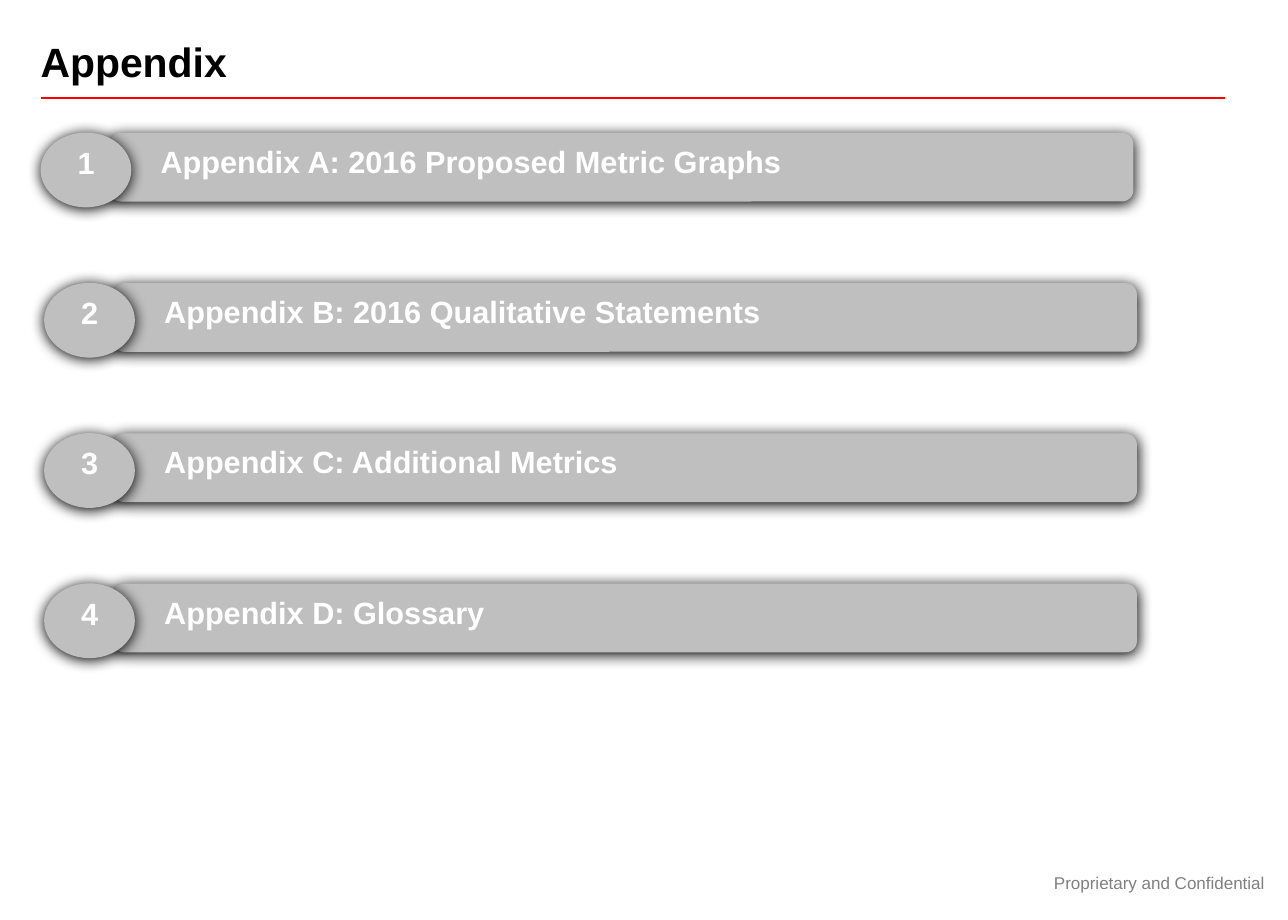
"""Build the appendix overview slide."""
import pptx
import pptx.dml.color
import pptx.enum.shapes
import pptx.enum.text
import pptx.oxml
import pptx.oxml.ns
import pptx.util

Pt = pptx.util.Pt
Kind = pptx.enum.shapes.MSO_SHAPE
Align = pptx.enum.text.PP_ALIGN
Anchor = pptx.enum.text.MSO_ANCHOR

COLORS = {
    "black": "000000",
    "white": "FFFFFF",
    "red": "FF0000",
    "silver": "BFBFBF",
    "gray": "808080",
}
TOPICS = [
    "Appendix A: 2016 Proposed Metric Graphs",
    "Appendix B: 2016 Qualitative Statements",
    "Appendix C: Additional Metrics",
    "Appendix D: Glossary",
]
TOP, PITCH = 77.8, 88.2


def color(name):
    return pptx.dml.color.RGBColor.from_string(COLORS[name])


def write(frame, text, size=18, tint="white", bold=True,
          align=Align.LEFT, anchor=Anchor.TOP, inset=None):
    frame.word_wrap = True
    frame.vertical_anchor = anchor
    if inset is not None:
        frame.margin_left = frame.margin_right = Pt(inset)
        frame.margin_top = frame.margin_bottom = Pt(inset)
    line = frame.paragraphs[0]
    line.alignment = align
    run = line.add_run()
    run.text = text
    run.font.name = "Arial"
    run.font.size = Pt(size)
    run.font.bold = bold
    run.font.color.rgb = color(tint)


class Deck:
    def __init__(self, width, height):
        self.show = pptx.Presentation()
        self.show.slide_width = Pt(width)
        self.show.slide_height = Pt(height)
        self.slide = self.show.slides.add_slide(self.show.slide_layouts[6])
        self.shapes = self.slide.shapes

    def text(self, box, text, **style):
        frame = self.shapes.add_textbox(*map(Pt, box)).text_frame
        write(frame, text, **style)

    def rule(self, left, right, top):
        line = self.shapes.add_connector(
            pptx.enum.shapes.MSO_CONNECTOR.STRAIGHT,
            Pt(left), Pt(top), Pt(right), Pt(top))
        line.line.color.rgb = color("red")
        line.line.width = Pt(1)
        line._element.spPr.append(pptx.oxml.parse_xml(
            f'<a:effectLst {pptx.oxml.ns.nsdecls("a")}/>'))

    def raised(self, kind, box):
        shape = self.shapes.add_shape(kind, *map(Pt, box))
        shape.fill.solid()
        shape.fill.fore_color.rgb = color("silver")
        shape.line.fill.background()
        shape.shadow.inherit = False
        effects = shape._element.spPr.find(pptx.oxml.ns.qn("a:effectLst"))
        effects.append(pptx.oxml.parse_xml(
            f'<a:outerShdw {pptx.oxml.ns.nsdecls("a")} blurRad="{Pt(8.5)}" '
            f'dist="{Pt(1)}" dir="5400000" algn="ctr" rotWithShape="0">'
            f'<a:srgbClr val="{COLORS["black"]}"/></a:outerShdw>'))

    def entry(self, left, top, number, topic):
        self.shapes = self.slide.shapes.add_group_shape().shapes
        self.raised(Kind.ROUNDED_RECTANGLE, (left + 40.3, top + 0.2, 601.2, 40.3))
        self.raised(Kind.OVAL, (left, top, 53.3, 43.9))
        self.text((left + 12, top + 3, 29.5, 28.8), str(number), align=Align.CENTER)
        self.text((left + 63.4, top + 2.4, 597, 36), topic)
        self.shapes = self.slide.shapes


def main():
    deck = Deck(756, 540)
    deck.rule(23.8, 719.3, 57.6)
    deck.text((23.8, 21.6, 732, 36), "Appendix", size=24, tint="black", inset=0)
    for row, topic in enumerate(TOPICS):
        left = 25.9 if row else 23.8
        deck.entry(left, TOP + row * PITCH, row + 1, topic)
    deck.text((604.8, 504, 151.2, 28.8), "Proprietary and Confidential",
              size=10, tint="gray", bold=False,
              align=Align.CENTER, anchor=Anchor.MIDDLE)
    deck.show.save("out.pptx")


if __name__ == "__main__":
    main()
